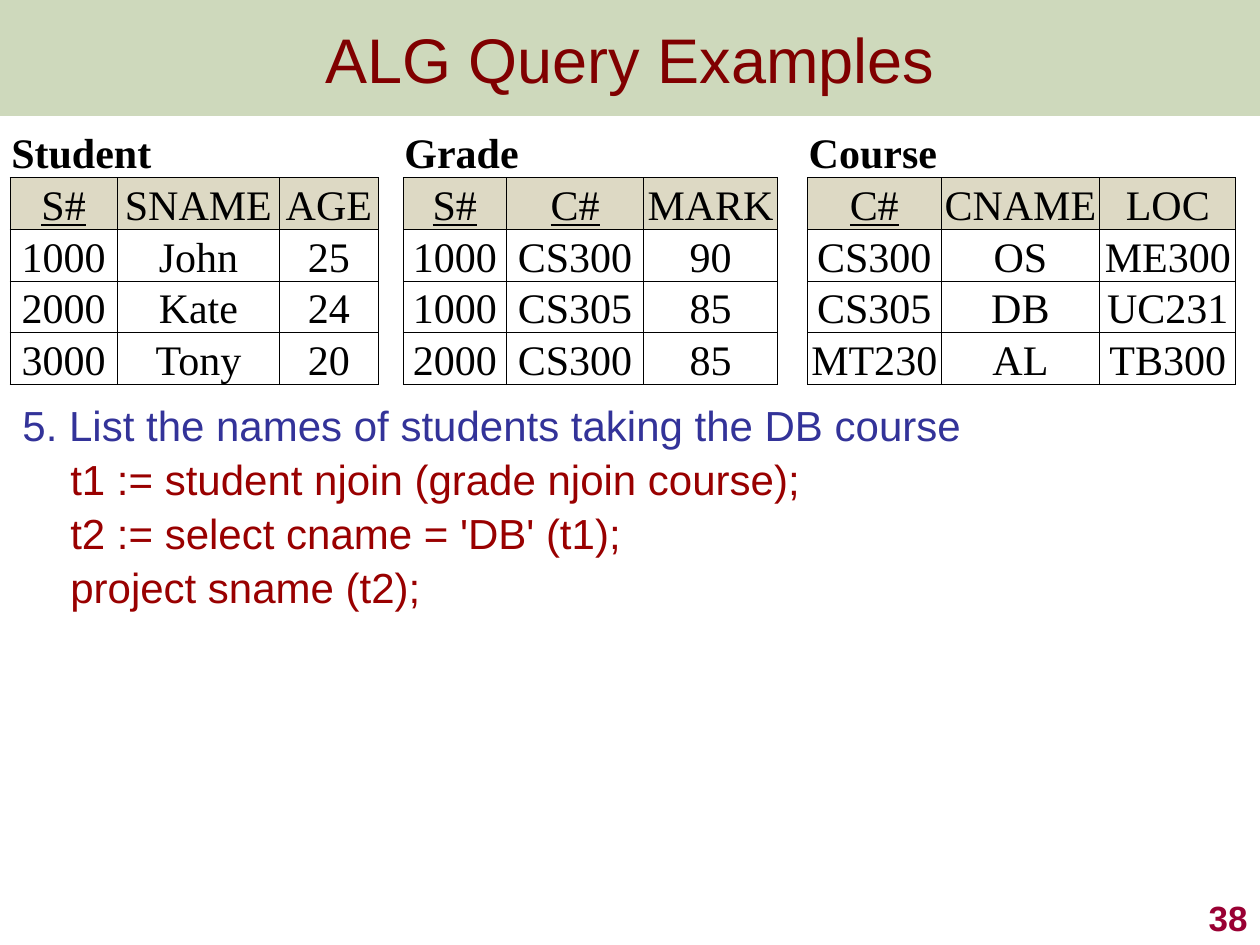
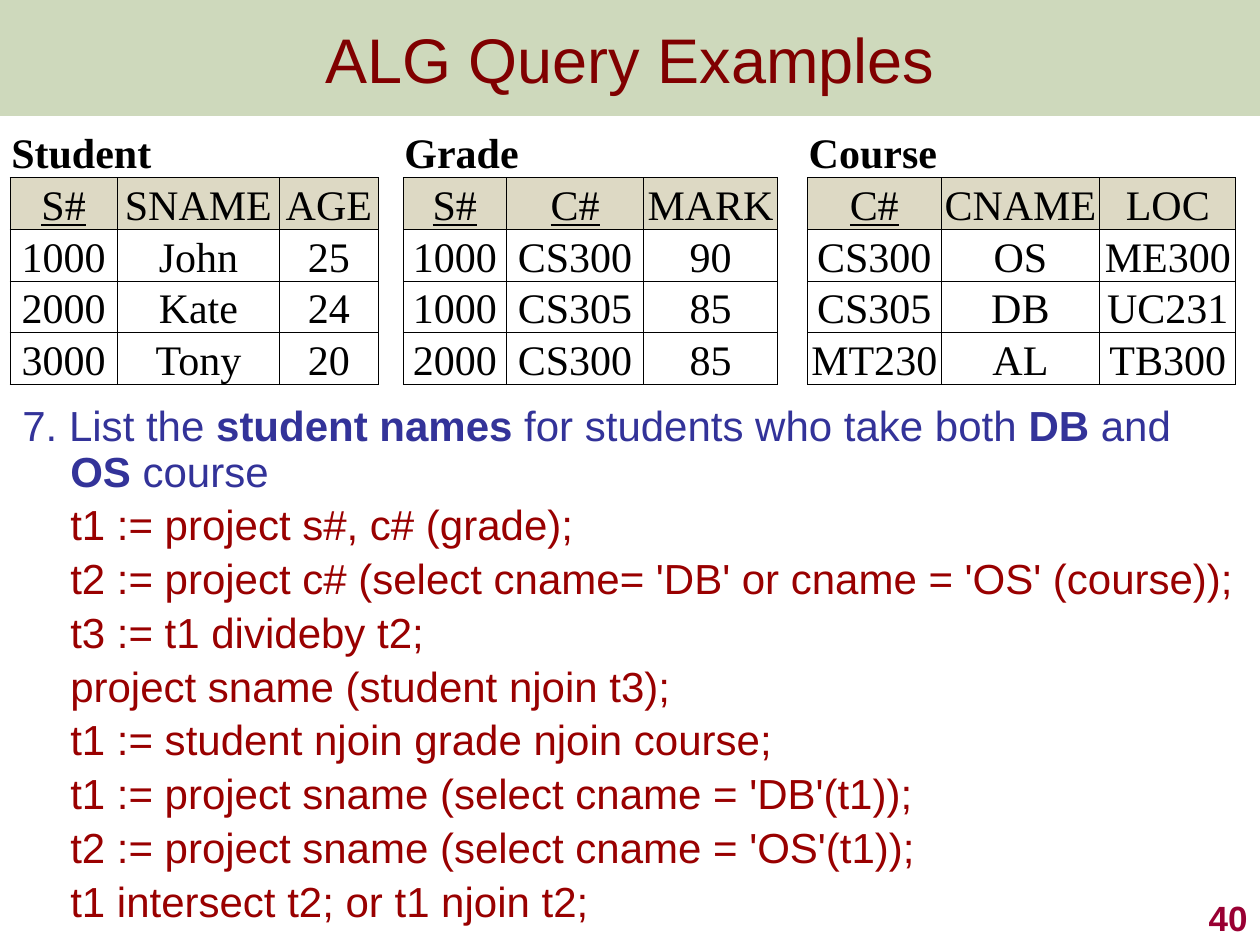
"""Build two slides of relational algebra query examples over three relations."""
from lxml import etree
from pptx import Presentation
from pptx.dml.color import RGBColor
from pptx.enum.text import MSO_ANCHOR, PP_ALIGN
from pptx.oxml.ns import qn
from pptx.util import Inches, Pt

LEFT, CENTER, RIGHT = PP_ALIGN.LEFT, PP_ALIGN.CENTER, PP_ALIGN.RIGHT
MIDDLE, BOTTOM = MSO_ANCHOR.MIDDLE, MSO_ANCHOR.BOTTOM

COLORS = {"band": "5F8422", "title": "800000", "question": "333399", "step": "990000",
          "number": "990033", "heading": "DDD9C4", "paper": "FFFFFF", "ink": "000000"}
SANS, SERIF = "Arial", "Times New Roman"
TITLE = "ALG Query Examples"

RELATIONS = [
    ("Student", [0.85, 1.29, 0.78], [("S#", "SNAME", "AGE"), ("1000", "John", "25"),
                                     ("2000", "Kate", "24"), ("3000", "Tony", "20")]),
    ("Grade", [0.82, 1.09, 1.06], [("S#", "C#", "MARK"), ("1000", "CS300", "90"),
                                   ("1000", "CS305", "85"), ("2000", "CS300", "85")]),
    ("Course", [1.06, 1.26, 1.08], [("C#", "CNAME", "LOC"), ("CS300", "OS", "ME300"),
                                    ("CS305", "DB", "UC231"), ("MT230", "AL", "TB300")]),
]
GAPS = [0.2, 0.24]
KEYS = {"S#", "C#"}
ROW_HEIGHT = 0.38

QUERIES = [
    {"number": "38", "size": (9.25, 3.58),
     "question": "5. List the names of students taking the DB course",
     "steps": ["t1 := student njoin (grade njoin course);",
               "t2 := select cname = 'DB' (t1);",
               "project sname (t2);"]},
    {"number": "40", "size": (9.74, 4.33),
     "question": "7. List the *student names* for students who take both *DB* and *OS* course",
     "steps": ["t1 := project s#, c# (grade);",
               "t2 := project c# (select cname= 'DB' or cname = 'OS' (course));",
               "t3 := t1 divideby t2;",
               "project sname (student njoin t3);",
               "t1 := student njoin grade njoin course;",
               "t1 := project sname (select cname = 'DB'(t1));",
               "t2 := project sname (select cname = 'OS'(t1));",
               "t1 intersect t2; or t1 njoin t2;"]},
]


def rgb(name):
    return RGBColor.from_string(COLORS[name])


def write(paragraph, text, *, size=24, font=SANS, color="ink", bold=False,
          underline=False, align=LEFT):
    """Write text into a paragraph; parts between asterisks are bold."""
    paragraph.alignment = align
    for index, part in enumerate(text.split("*")):
        run = paragraph.add_run()
        run.text = part
        run.font.size, run.font.name = Pt(size), font
        run.font.bold = bold or index % 2 == 1
        run.font.underline = underline
        run.font.color.rgb = rgb(color)


def add_title(slide):
    title = slide.shapes.title
    title.left, title.top, title.width, title.height = map(Inches, (0, 0, 10, 0.92))
    title.fill.solid()
    title.fill.fore_color.rgb = rgb("band")
    band_color = title.fill._xPr.find(".//" + qn("a:srgbClr"))
    etree.SubElement(band_color, qn("a:alpha"), val="30000")
    title.text_frame.vertical_anchor = MIDDLE
    write(title.text_frame.paragraphs[0], TITLE, size=36, color="title", align=CENTER)


def format_cell(cell, sides, fill="paper"):
    properties = cell._tc.get_or_add_tcPr()
    for side in "LRTB":
        line = etree.SubElement(properties, qn(f"a:ln{side}"), w=str(Pt(0.5)))
        if side in sides:
            solid = etree.SubElement(line, qn("a:solidFill"))
            etree.SubElement(solid, qn("a:srgbClr"), val=COLORS["ink"])
        else:
            etree.SubElement(line, qn("a:noFill"))
    cell.fill.solid()
    cell.fill.fore_color.rgb = rgb(fill)
    cell.margin_left = cell.margin_right = cell.margin_top = Inches(0.01)
    cell.margin_bottom = 0
    cell.vertical_anchor = BOTTOM


def add_relations(slide):
    widths = []
    for index, (_, relation_widths, _) in enumerate(RELATIONS):
        widths += GAPS[index - 1:index] if index else []
        widths += relation_widths
    row_count = 1 + len(RELATIONS[0][2])
    table = slide.shapes.add_table(row_count, len(widths), Inches(0.08), Inches(1),
                                   Inches(sum(widths)), Inches(row_count * ROW_HEIGHT)).table
    for column, width in zip(table.columns, widths):
        column.width = Inches(width)
    for row in table.rows:
        row.height = Inches(ROW_HEIGHT)

    start = 0
    for relation, relation_widths, records in RELATIONS:
        end = start + len(relation_widths)
        for column in range(start, end):
            format_cell(table.cell(0, column), "B")
        name_cell = table.cell(0, start)
        name_cell.merge(table.cell(0, end - 1))
        write(name_cell.text_frame.paragraphs[0], relation, font=SERIF, bold=True)
        for row, record in enumerate(records, 1):
            for column, value in enumerate(record, start):
                cell = table.cell(row, column)
                format_cell(cell, "LRTB", "heading" if row == 1 else "paper")
                write(cell.text_frame.paragraphs[0], value, font=SERIF,
                      underline=value in KEYS, align=CENTER)
        if end < len(widths):
            for row in range(row_count):
                format_cell(table.cell(row, end), "LR" if row else "")
        start = end + 1


def add_query(slide, query):
    box = slide.shapes.add_textbox(Inches(0.08), Inches(3.17), *map(Inches, query["size"]))
    frame = box.text_frame
    frame.word_wrap = True
    frame.margin_right = 0
    for index, text in enumerate([query["question"], *query["steps"]]):
        paragraph = frame.add_paragraph() if index else frame.paragraphs[0]
        paragraph.line_spacing = 0.9
        if index:
            paragraph.space_before = Pt(4.8)
        properties = paragraph._p.get_or_add_pPr()
        properties.set("marL", str(Inches(0.38)))
        properties.set("indent", str(0 if index else Inches(-0.38)))
        write(paragraph, text, color="step" if index else "question")


def add_number(slide, number):
    box = slide.shapes.add_textbox(Inches(7.92), Inches(7), Inches(2.08), Inches(0.5))
    box.text_frame.word_wrap = True
    box.text_frame.vertical_anchor = BOTTOM
    write(box.text_frame.paragraphs[0], number, size=20, color="number", bold=True, align=RIGHT)


def main():
    deck = Presentation()
    deck.slide_width, deck.slide_height = Inches(10), Inches(7.5)
    for query in QUERIES:
        slide = deck.slides.add_slide(deck.slide_layouts[5])
        add_title(slide)
        add_query(slide, query)
        add_number(slide, query["number"])
        add_relations(slide)
    deck.save("out.pptx")


if __name__ == "__main__":
    main()
